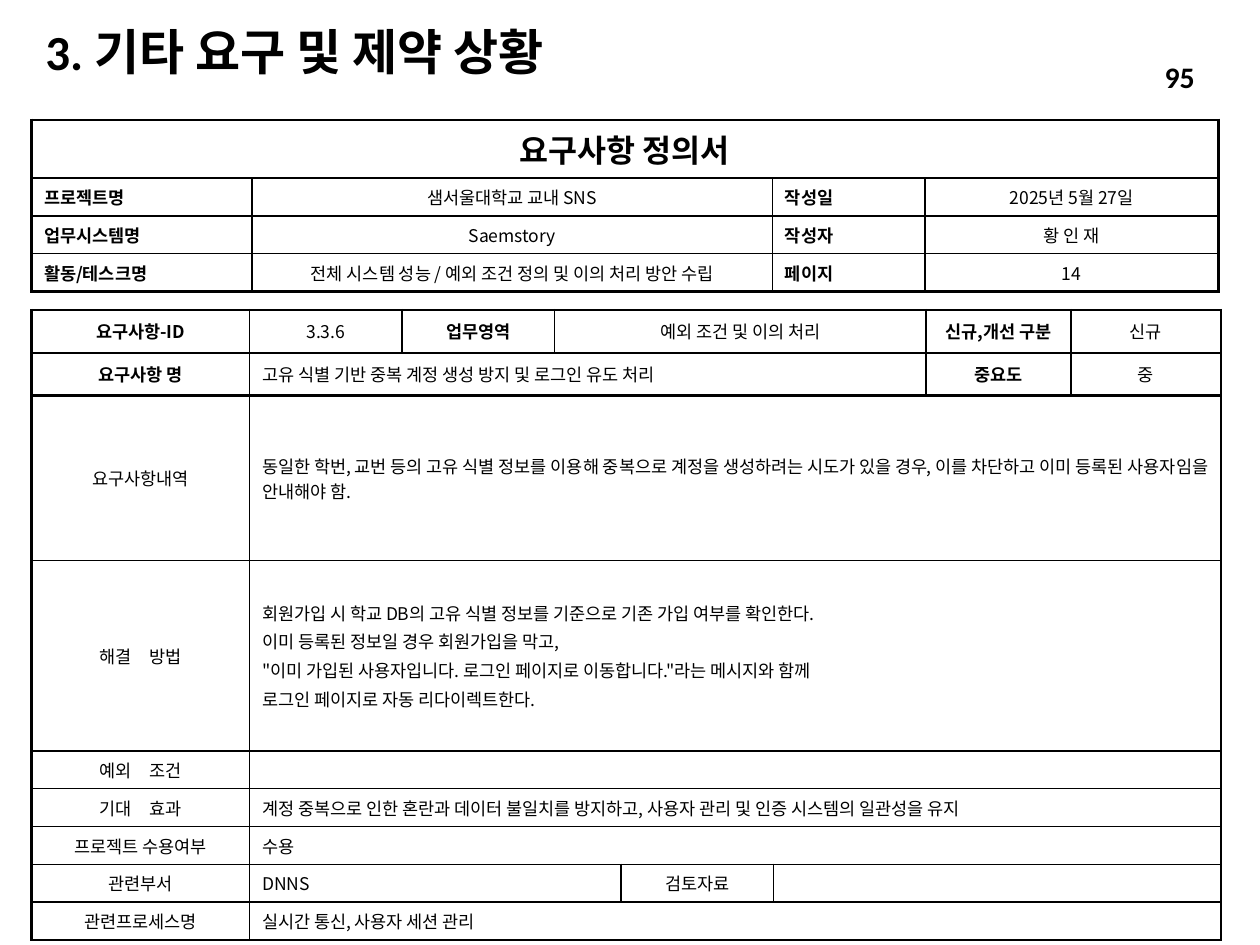
from lxml.etree import SubElement
from pptx import Presentation
from pptx.dml.color import RGBColor
from pptx.enum.text import MSO_ANCHOR as ANCHOR, PP_ALIGN as ALIGN
from pptx.oxml.ns import qn
from pptx.util import Inches, Pt

BLACK = RGBColor(0, 0, 0)
CJK = "Noto Sans CJK KR"
LATIN = "Calibri"
THIN, THICK = 1, 1.5

# Cell kinds: alignment and font values
KINDS = {
    "banner": (ALIGN.CENTER, {"size": Pt(18), "bold": True}),
    "label": (ALIGN.JUSTIFY, {"size": Pt(10), "bold": True}),
    "head": (ALIGN.CENTER, {"size": Pt(10), "bold": True}),
    "value": (ALIGN.CENTER, {"size": Pt(10), "bold": False}),
    "body": (ALIGN.LEFT, {"size": Pt(10), "bold": False}),
}

# Each cell is (text, kind, columns spanned)
PROJECT_COLS = [1.75, 4.13, 1.21, 2.33]
PROJECT_HEIGHTS = [0.46] + [0.27] * 3
PROJECT_FIELDS = [
    ("프로젝트명", "샘서울대학교 교내 SNS", "작성일", "2025년 5월 27일"),
    ("업무시스템명", "Saemstory", "작성자", "황 인 재"),
    ("활동/테스크명", "전체 시스템 성능 / 예외 조건 정의 및 이의 처리 방안 수립", "페이지", "14"),
]
PROJECT_ROWS = [[("요구사항 정의서", "banner", 4)]] + [
    [(text, kind, 1) for text, kind in zip(row, ("label", "value") * 2)]
    for row in PROJECT_FIELDS
]

DETAIL_COLS = [1.73, 1.21, 1.21, 0.53, 1.21, 1.21, 1.15, 1.19]
DETAIL_HEIGHTS = [0.34, 0.34, 1.31, 1.51] + [0.27] * 5
DETAIL_ROWS = [
    [("요구사항-ID", "head", 1), ("3.3.6", "value", 1), ("업무영역", "head", 1),
     ("예외 조건 및 이의 처리", "value", 3), ("신규,개선 구분", "head", 1),
     ("신규", "value", 1)],
    [("요구사항 명", "head", 1),
     ("고유 식별 기반 중복 계정 생성 방지 및 로그인 유도 처리", "body", 5),
     ("중요도", "head", 1), ("중", "value", 1)],
    [("요구사항내역", "value", 1),
     ("동일한 학번, 교번 등의 고유 식별 정보를 이용해 중복으로 계정을 생성하려는 시도가 "
      "있을 경우, 이를 차단하고 이미 등록된 사용자임을 안내해야 함.", "body", 7)],
    [("해결　방법", "value", 1),
     ("회원가입 시 학교 DB의 고유 식별 정보를 기준으로 기존 가입 여부를 확인한다.\n"
      "이미 등록된 정보일 경우 회원가입을 막고,\n"
      "\"이미 가입된 사용자입니다. 로그인 페이지로 이동합니다.\"라는 메시지와 함께\n"
      "로그인 페이지로 자동 리다이렉트한다.", "body", 7)],
    [("예외　조건", "value", 1), ("", "body", 7)],
    [("기대　효과", "value", 1),
     ("계정 중복으로 인한 혼란과 데이터 불일치를 방지하고, 사용자 관리 및 인증 시스템의 "
      "일관성을 유지", "body", 7)],
    [("프로젝트 수용여부", "value", 1), ("수용", "body", 7)],
    [("관련부서", "value", 1), ("DNNS", "body", 3), ("검토자료", "value", 1),
     ("", "body", 3)],
    [("관련프로세스명", "value", 1), ("실시간 통신, 사용자 세션 관리", "body", 7)],
]


def write_line(p, text, align, name, font):
    p.alignment = align
    if not text:
        SubElement(p._p, qn("a:endParaRPr"), sz=str(int(font["size"].pt * 100)))
        return
    r = p.add_run()
    r.text = text
    for key, value in {**font, "name": name}.items():
        setattr(r.font, key, value)
    r.font.color.rgb = BLACK
    SubElement(r._r.get_or_add_rPr(), qn("a:ea"), typeface=CJK)


def write_cell(cell, text, kind, anchor):
    align, font = KINDS[kind]
    cell.vertical_anchor = anchor
    tf = cell.text_frame
    for i, line in enumerate(text.split("\n")):
        p = tf.add_paragraph() if i else tf.paragraphs[0]
        p.space_before = Pt(font["size"].pt * 0.2)
        write_line(p, line, align, CJK, font)


def set_borders(cell, widths):
    """Draw the left, right, top and bottom lines at the given point widths."""
    tc_pr = cell._tc.get_or_add_tcPr()
    for side, width in zip("LRTB", widths):
        ln = SubElement(tc_pr, qn(f"a:ln{side}"), w=str(Pt(width)))
        fill = SubElement(ln, qn("a:solidFill"))
        SubElement(fill, qn("a:srgbClr"), val=str(BLACK))
    cell.fill.background()


def add_form(slide, left, top, cols, heights, rows, heavy_rules, anchors):
    """Add a ruled form; heavy_rules are the horizontal line numbers drawn thick."""
    table = slide.shapes.add_table(
        len(rows), len(cols), Inches(left), Inches(top),
        Inches(sum(cols)), Inches(sum(heights))).table
    table.first_row = table.horz_banding = False
    for column, width in zip(table.columns, cols):
        column.width = Inches(width)
    for row, height in zip(table.rows, heights):
        row.height = Inches(height)

    for y, (row, anchor) in enumerate(zip(rows, anchors)):
        x = 0
        for text, kind, span in row:
            end = x + span
            widths = [THICK if x == 0 else THIN,
                      THICK if end == len(cols) else THIN]
            widths += [THICK if rule in heavy_rules else THIN for rule in (y, y + 1)]
            for col in range(x, end):
                set_borders(table.cell(y, col), widths)
            cell = table.cell(y, x)
            if span > 1:
                cell.merge(table.cell(y, end - 1))
            write_cell(cell, text, kind, anchor)
            x = end


def place(sp, left, top, width, height):
    sp.left, sp.top = Inches(left), Inches(top)
    sp.width, sp.height = Inches(width), Inches(height)


def add_heading(slide, left, top, width, height):
    sp = slide.shapes.title
    place(sp, left, top, width, height)
    tf = sp.text_frame
    tf.word_wrap = True
    tf.vertical_anchor = ANCHOR.MIDDLE
    p = tf.paragraphs[0]
    p.line_spacing = 0.9
    write_line(p, "3. 기타 요구 및 제약 상황", ALIGN.LEFT, LATIN,
               {"size": Pt(28), "bold": True})


def add_page_number(slide, left, top, width, height):
    sp = slide.shapes.add_textbox(0, 0, 0, 0)
    place(sp, left, top, width, height)
    tf = sp.text_frame
    tf.word_wrap = True
    tf.vertical_anchor = ANCHOR.MIDDLE
    write_line(tf.paragraphs[0], "95", ALIGN.RIGHT, LATIN,
               {"size": Pt(17), "bold": True})


def main():
    prs = Presentation()
    prs.slide_width, prs.slide_height = Inches(10), Inches(7.5)
    slide = prs.slides.add_slide(prs.slide_layouts[5])
    add_heading(slide, 0.26, 0.21, 5.36, 0.44)
    add_form(slide, 0.25, 2.46, DETAIL_COLS, DETAIL_HEIGHTS, DETAIL_ROWS,
             {0, 1, 2, len(DETAIL_ROWS)}, [ANCHOR.MIDDLE] * len(DETAIL_ROWS))
    add_form(slide, 0.25, 0.95, PROJECT_COLS, PROJECT_HEIGHTS, PROJECT_ROWS,
             {0, len(PROJECT_ROWS)}, [ANCHOR.MIDDLE] + [ANCHOR.TOP] * 3)
    add_page_number(slide, 7.96, 0.41, 1.62, 0.4)
    prs.save("out.pptx")


if __name__ == "__main__":
    main()
